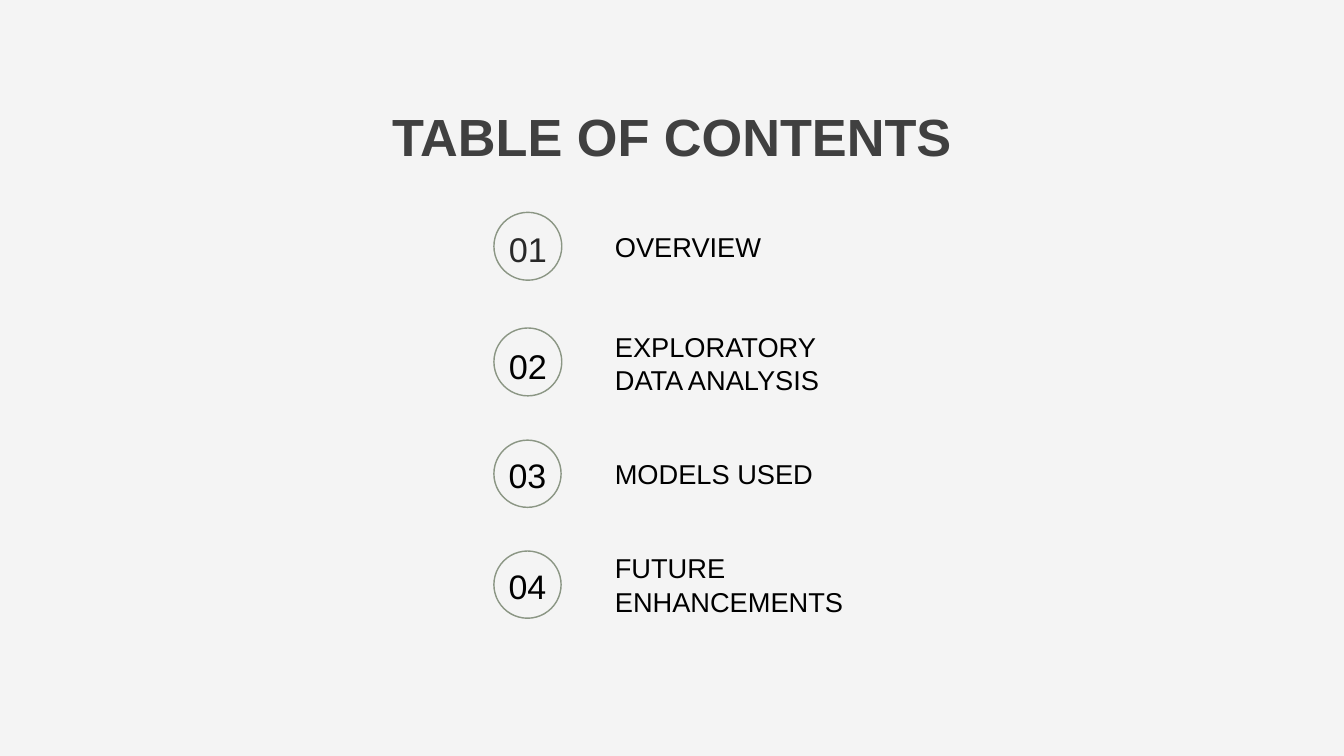
from pptx import Presentation
from pptx.dml.color import RGBColor
from pptx.enum.shapes import MSO_SHAPE
from pptx.enum.text import MSO_ANCHOR, MSO_AUTO_SIZE, PP_ALIGN
from pptx.util import Pt

BACKGROUND = RGBColor(0xF4, 0xF4, 0xF4)
TITLE_GRAY = RGBColor(0x40, 0x40, 0x40)
SOFT_BLACK = RGBColor(0x29, 0x29, 0x29)
BLACK = RGBColor(0x00, 0x00, 0x00)
SAGE = RGBColor(0x8B, 0x96, 0x84)

CIRCLE_LEFT = 529.2
LABEL_LEFT = 658.8
LABEL_LINE = 35.6


def write_text(shape, text, *, size, spacing, color=BLACK, bold=False, align=PP_ALIGN.LEFT):
    frame = shape.text_frame
    frame.word_wrap = True
    frame.auto_size = MSO_AUTO_SIZE.NONE
    frame.vertical_anchor = MSO_ANCHOR.TOP
    frame.margin_left = frame.margin_top = frame.margin_right = frame.margin_bottom = 0
    frame.text = text
    paragraph = frame.paragraphs[0]
    paragraph.alignment = align
    paragraph.line_spacing = Pt(spacing)
    paragraph.space_before = Pt(0)
    font = paragraph.runs[0].font
    font.name = "Arial"
    font.size = Pt(size)
    font.bold = bold
    font.color.rgb = color


presentation = Presentation()
presentation.slide_width = Pt(1440)
presentation.slide_height = Pt(810)
slide = presentation.slides.add_slide(presentation.slide_layouts[5])
slide.background.fill.solid()
slide.background.fill.fore_color.rgb = BACKGROUND

title = slide.shapes.title
title.left, title.top, title.width, title.height = Pt(396.7), Pt(110.2), Pt(646.6), Pt(69.1)
write_text(title, "TABLE OF CONTENTS", size=56, spacing=68.3, color=TITLE_GRAY,
           bold=True, align=PP_ALIGN.CENTER)

entries = [
    ("OVERVIEW", 1, 227.5, 72.7, 236.9, 246.2, 221.8, SOFT_BLACK),
    ("EXPLORATORY DATA ANALYSIS", 2, 351.4, 72.7, 362.2, 353.5, 221.8, BLACK),
    ("MODELS USED", 1, 471.6, 72, 480.2, 489.6, 252, BLACK),
    ("FUTURE ENHANCEMENTS", 2, 590.4, 72, 599, 590.4, 252, BLACK),
]

for number, entry in enumerate(entries, start=1):
    label, lines, circle_top, diameter, number_top, label_top, label_width, number_color = entry

    circle = slide.shapes.add_shape(
        MSO_SHAPE.OVAL, Pt(CIRCLE_LEFT), Pt(circle_top), Pt(diameter), Pt(diameter))
    circle.shadow.inherit = False
    circle.fill.background()
    circle.line.color.rgb = SAGE
    circle.line.width = Pt(1.5)

    number_box = slide.shapes.add_textbox(
        Pt(CIRCLE_LEFT), Pt(number_top), Pt(diameter), Pt(49))
    write_text(number_box, f"{number:02}", size=round(diameter * 0.505, 1),
               spacing=round(diameter * 0.706, 1), color=number_color, align=PP_ALIGN.CENTER)

    label_box = slide.shapes.add_textbox(
        Pt(LABEL_LEFT), Pt(label_top), Pt(label_width), Pt(LABEL_LINE * lines))
    write_text(label_box, label, size=29.2, spacing=LABEL_LINE)

presentation.save("out.pptx")
